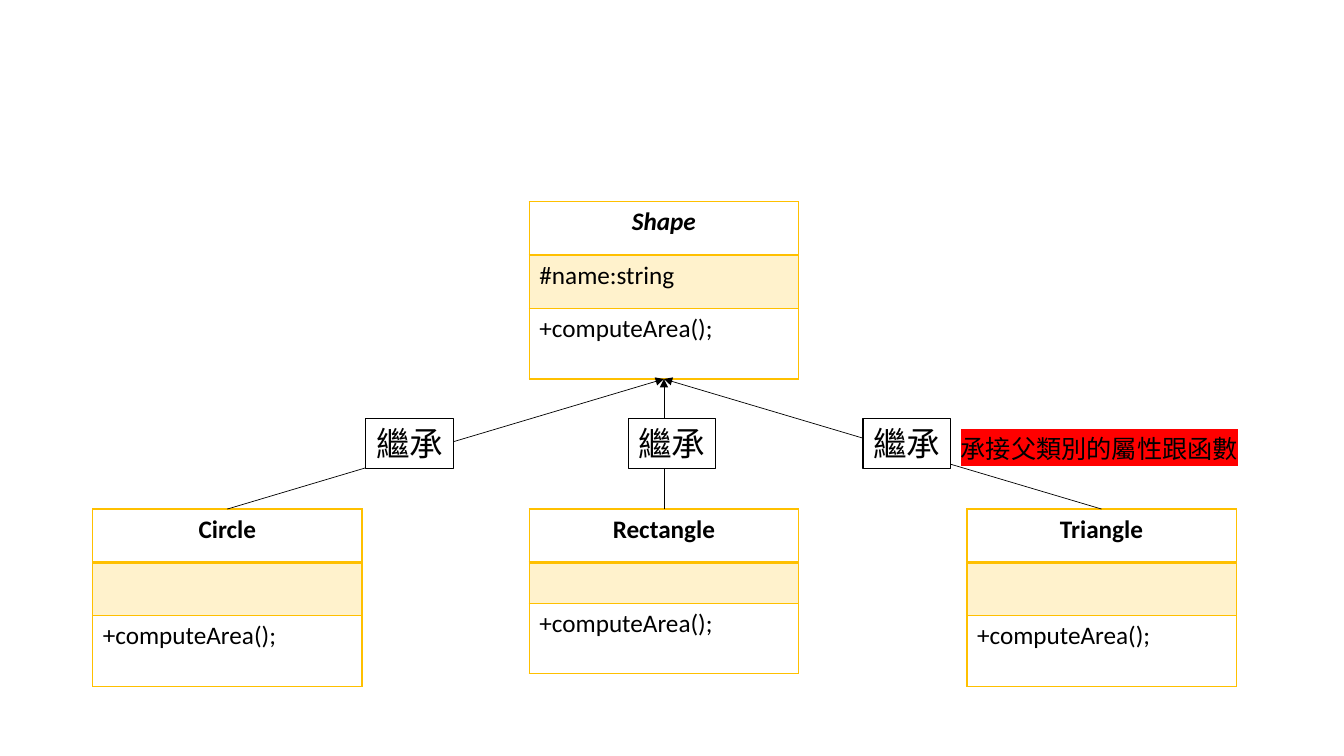
from lxml.etree import SubElement
from pptx import Presentation
from pptx.dml.color import RGBColor
from pptx.enum.shapes import MSO_CONNECTOR, MSO_SHAPE
from pptx.enum.text import MSO_ANCHOR, MSO_AUTO_SIZE, PP_ALIGN
from pptx.oxml.ns import qn
from pptx.util import Inches, Pt

BLACK = RGBColor(0x00, 0x00, 0x00)
WHITE = RGBColor(0xFF, 0xFF, 0xFF)
GOLD = RGBColor(0xFF, 0xC0, 0x00)
RED = RGBColor(0xFF, 0x00, 0x00)
FONT = "Calibri"

METHOD = "+computeArea();"
# name, attribute, left, top, height of the attribute row
PARENT = ("Shape", "#name:string", 5.25, 2.0, 0.53)
CHILDREN = [
    ("Circle", "", 0.92, 5.05, 0.53),
    ("Rectangle", "", 5.25, 5.05, 0.4),
    ("Triangle", "", 9.59, 5.05, 0.53),
]
INHERIT = "繼承"
INHERIT_LEFTS = [3.63, 6.23, 8.56]
NOTE = "承接父類別的屬性跟函數"

CLASS_WIDTH, NAME_HEIGHT, METHOD_HEIGHT = 2.67, 0.53, 0.7
LABEL_TOP, LABEL_WIDTH, LABEL_HEIGHT = 4.15, 0.87, 0.5


def write(frame, text, size=18, bold=False, italic=False, align=PP_ALIGN.LEFT, highlight=None):
    para = frame.paragraphs[0]
    para.alignment = align
    if not text:
        para.font.size = Pt(size)
        SubElement(para._p, qn("a:endParaRPr"), sz=str(size * 100))
        return
    span = para.add_run()
    span.text = text
    font = span.font
    font.size, font.bold, font.italic, font.name = Pt(size), bold, italic, FONT
    font.color.rgb = BLACK
    if highlight:
        properties = font._element
        mark = SubElement(properties, qn("a:highlight"))
        SubElement(mark, qn("a:srgbClr"), val=str(highlight))
        properties.find(qn("a:latin")).addprevious(mark)


def set_borders(cell, top, bottom):
    """Draw gold borders, 1 point at the sides and the given points above and below."""
    properties = cell._tc.get_or_add_tcPr()
    for side, points in (("L", 1), ("R", 1), ("T", top), ("B", bottom)):
        line = SubElement(properties, qn(f"a:ln{side}"), w=str(Pt(points)))
        fill = SubElement(line, qn("a:solidFill"))
        SubElement(fill, qn("a:srgbClr"), val=str(GOLD))


def add_class(page, name, attribute, left, top, attribute_height, abstract=False):
    heights = [NAME_HEIGHT, attribute_height, METHOD_HEIGHT]
    table = page.shapes.add_table(3, 1, Inches(left), Inches(top),
                                  Inches(CLASS_WIDTH), Inches(sum(heights))).table
    table.first_row = table.horz_banding = False
    for row, height in zip(table.rows, heights):
        row.height = Inches(height)
    title, field, method = [table.cell(index, 0) for index in range(3)]
    for cell, above, below in ((title, 1, 2), (field, 2, 1), (method, 1, 1)):
        set_borders(cell, above, below)
        cell.fill.background()
    field.fill.solid()
    field.fill.fore_color.rgb = GOLD
    tint = field._tc.tcPr.find(qn("a:solidFill")).find(qn("a:srgbClr"))
    SubElement(tint, qn("a:alpha"), val="20000")
    write(title.text_frame, name, bold=True, italic=abstract, align=PP_ALIGN.CENTER)
    write(field.text_frame, attribute)
    write(method.text_frame, METHOD)


def add_arrow(page, start, end):
    arrow = page.shapes.add_connector(MSO_CONNECTOR.STRAIGHT, *map(Inches, start + end))
    arrow.line.color.rgb = BLACK
    arrow.line.width = Pt(0.5)
    SubElement(arrow.line._get_or_add_ln(), qn("a:tailEnd"), type="triangle")
    SubElement(arrow._element.spPr, qn("a:effectLst"))


def add_inherit_label(page, left):
    box = page.shapes.add_shape(MSO_SHAPE.RECTANGLE, Inches(left), Inches(LABEL_TOP),
                                Inches(LABEL_WIDTH), Inches(LABEL_HEIGHT))
    box.shadow.inherit = False
    box.fill.solid()
    box.fill.fore_color.rgb = WHITE
    box.line.color.rgb = BLACK
    box.line.width = Pt(0.75)
    frame = box.text_frame
    frame.word_wrap = False
    frame.auto_size = MSO_AUTO_SIZE.SHAPE_TO_FIT_TEXT
    frame.vertical_anchor = MSO_ANCHOR.TOP
    write(frame, INHERIT, size=24, align=PP_ALIGN.CENTER)


def main():
    deck = Presentation()
    deck.slide_width, deck.slide_height = Inches(13.33), Inches(7.5)
    page = deck.slides.add_slide(deck.slide_layouts[6])

    add_class(page, *PARENT, abstract=True)
    for child in CHILDREN:
        add_class(page, *child)

    half = CLASS_WIDTH / 2
    _, _, left, top, attribute_height = PARENT
    parent_bottom = (left + half, top + NAME_HEIGHT + attribute_height + METHOD_HEIGHT)
    for _, _, left, top, _ in CHILDREN:
        add_arrow(page, (left + half, top), parent_bottom)

    for left in INHERIT_LEFTS:
        add_inherit_label(page, left)

    note = page.shapes.add_textbox(Inches(9.43), Inches(4.25), Inches(2.99), Inches(0.4))
    note.text_frame.word_wrap = False
    note.text_frame.auto_size = MSO_AUTO_SIZE.SHAPE_TO_FIT_TEXT
    write(note.text_frame, NOTE, highlight=RED)

    deck.save("out.pptx")


if __name__ == "__main__":
    main()
